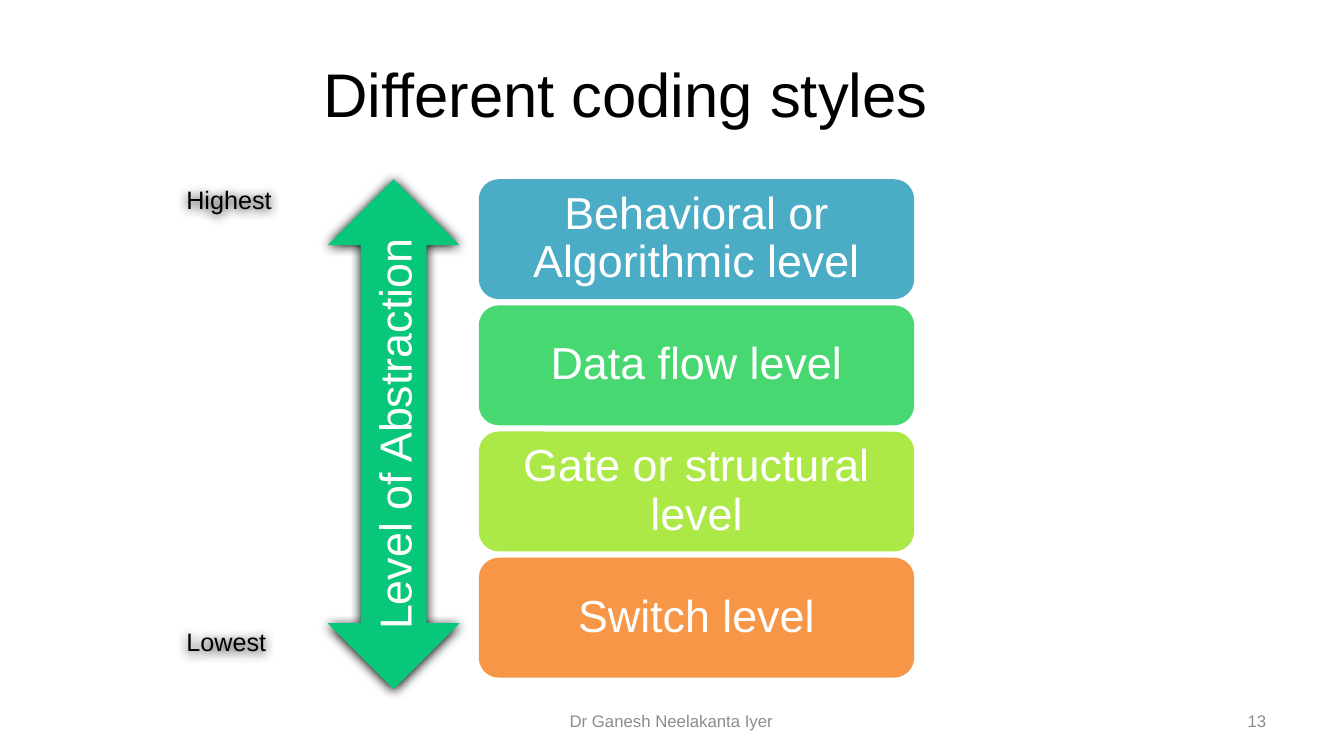
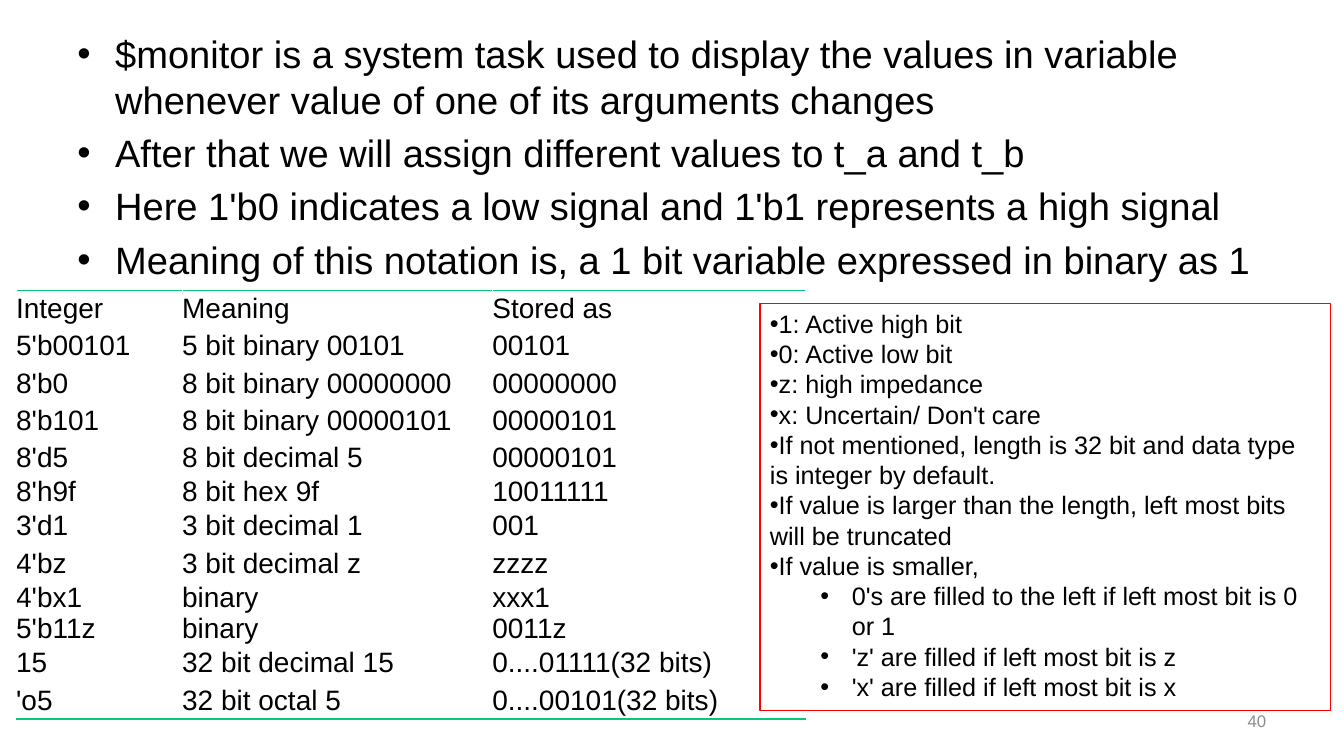
from lxml.etree import SubElement
from pptx import Presentation
from pptx.dml.color import RGBColor
from pptx.enum.shapes import MSO_SHAPE
from pptx.enum.text import MSO_ANCHOR, MSO_AUTO_SIZE, PP_ALIGN
from pptx.oxml import parse_xml
from pptx.oxml.ns import nsdecls, qn
from pptx.util import Pt

COLORS = {
    "text": "000000",
    "inverse": "FFFFFF",
    "footer": "8C8C8C",
    "accent": "09C77A",
    "behavioral": "4BACC6",
    "data_flow": "47D872",
    "gate": "ACE946",
    "switch": "F79646",
    "note_line": "FF0000",
}
FONT = "Arial"
SLIDE_SIZE = (960, 540)
TITLE_BOX = (48, 21.6, 798, 90)
FOOTER_BOX = (327.6, 500.4, 304, 28.8)
NUMBER_BOX = (687.6, 500.4, 224, 28.8)

LEVELS = [
    ("Behavioral or Algorithmic level", "behavioral"),
    ("Data flow level", "data_flow"),
    ("Gate or structural level", "gate"),
    ("Switch level", "switch"),
]
STATEMENTS = [
    "$monitor is a system task used to display the values in variable "
    "whenever value of one of its arguments changes",
    "After that we will assign different values to t_a and t_b",
    "Here 1'b0 indicates a low signal and 1'b1 represents a high signal",
    "Meaning of this notation is, a 1 bit variable expressed in binary as 1",
]
INTEGER_ROWS = [
    ("Integer", "Meaning", "Stored as"),
    ("5'b00101", "5 bit binary 00101", "00101"),
    ("8'b0", "8 bit binary 00000000", "00000000"),
    ("8'b101", "8 bit binary 00000101", "00000101"),
    ("8'd5", "8 bit decimal 5", "00000101"),
    ("8'h9f", "8 bit hex 9f", "10011111"),
    ("3'd1", "3 bit decimal 1", "001"),
    ("4'bz", "3 bit decimal z", "zzzz"),
    ("4'bx1", "binary", "xxx1"),
    ("5'b11z", "binary", "0011z"),
    ("15", "32 bit decimal 15", "0....01111(32 bits)"),
    ("'o5", "32 bit octal 5", "0....00101(32 bits)"),
]
COMPACT_ROWS = {5, 8, 9}
NOTES = [
    ("1: Active high bit", 0),
    ("0: Active low bit", 0),
    ("z: high impedance", 0),
    ("x: Uncertain/ Don't care", 0),
    ("If not mentioned, length is 32 bit and data type is integer by default.", 0),
    ("If value is larger than the length, left most bits will be truncated", 0),
    ("If value is smaller,", 0),
    ("0's are filled to the left if left most bit is 0 or 1", 1),
    ("'z' are filled if left most bit is z", 1),
    ("'x' are filled if left most bit is x", 1),
]
NOTE_INDENTS = [(0, 0), (58.5, -22.5)]


def rgb(name):
    return RGBColor.from_string(COLORS[name])


def points(box):
    return [Pt(value) for value in box]


def place(shape, box):
    shape.left, shape.top, shape.width, shape.height = points(box)


def format_paragraph(paragraph, size, color="text", align=PP_ALIGN.LEFT):
    paragraph.alignment = align
    for run in paragraph.runs:
        run.font.name = FONT
        run.font.size = Pt(size)
        run.font.color.rgb = rgb(color)


def write(shape, text, size, color="text", align=PP_ALIGN.LEFT, anchor=MSO_ANCHOR.MIDDLE):
    frame = shape.text_frame
    frame.word_wrap = True
    frame.auto_size = MSO_AUTO_SIZE.NONE
    frame.vertical_anchor = anchor
    frame.text = text
    for paragraph in frame.paragraphs:
        format_paragraph(paragraph, size, color, align)
    return frame


def add_label(slide, box, *style):
    label = slide.shapes.add_textbox(*points(box))
    write(label, *style)
    return label


def add_filled(slide, kind, box, color):
    shape = slide.shapes.add_shape(kind, *points(box))
    shape.shadow.inherit = False
    shape.fill.solid()
    shape.fill.fore_color.rgb = rgb(color)
    shape.line.fill.background()
    return shape


def add_bullet(paragraph, left, indent):
    properties = paragraph._p.get_or_add_pPr()
    properties.set("marL", str(Pt(left)))
    properties.set("indent", str(Pt(indent)))
    SubElement(properties, qn("a:buFont")).set("typeface", FONT)
    SubElement(properties, qn("a:buChar")).set("char", "•")


def add_glow_shadow(shape):
    shape.shadow.inherit = False
    effects = shape._element.spPr.find(qn("a:effectLst"))
    shadow = SubElement(effects, qn("a:outerShdw"), blurRad=str(Pt(8.5)),
                        dist=str(Pt(1)), dir="5400000", algn="tl", rotWithShape="0")
    SubElement(shadow, qn("a:srgbClr"), val=COLORS["text"])


def add_footer(slide, number, author=None):
    if author:
        add_label(slide, FOOTER_BOX, author, 12, "footer", PP_ALIGN.CENTER)
    add_label(slide, NUMBER_BOX, number, 12, "footer", PP_ALIGN.RIGHT)


def add_level_stack(slide, box):
    left, top, width, height = box
    gap = 4.5
    level_height = (height - gap * (len(LEVELS) - 1)) / len(LEVELS)
    for index, (text, color) in enumerate(LEVELS):
        level_box = (left, top + index * (level_height + gap), width, level_height)
        level = add_filled(slide, MSO_SHAPE.ROUNDED_RECTANGLE, level_box, color)
        frame = write(level, text, 32, "inverse", PP_ALIGN.CENTER)
        frame.margin_left = frame.margin_right = Pt(13.5)
        frame.margin_top = frame.margin_bottom = Pt(9)
        frame.paragraphs[0].line_spacing = 0.9


def add_abstraction_scale(slide, box):
    left, top, width, height = box
    arrow_width, label_width, label_height = 94.3, 96, 28.8
    arrow_box = (left + width - arrow_width, top, arrow_width, height)
    arrow = add_filled(slide, MSO_SHAPE.UP_DOWN_ARROW, arrow_box, "accent")
    frame = write(arrow, "Level of Abstraction", 32, "inverse", PP_ALIGN.CENTER)
    frame._txBody.bodyPr.set("vert", "vert270")
    add_glow_shadow(arrow)
    for text, offset in (("Highest", 0), ("Lowest", 316)):
        label_box = (left, top + offset, label_width, label_height)
        label = add_label(slide, label_box, text, 18, "text", PP_ALIGN.LEFT, MSO_ANCHOR.TOP)
        add_glow_shadow(label)


def add_statements(slide, box):
    body = slide.placeholders[1]
    place(body, box)
    frame = write(body, "\n".join(STATEMENTS), 27.2, anchor=MSO_ANCHOR.TOP)
    for index, paragraph in enumerate(frame.paragraphs):
        paragraph.space_before = Pt(5.5 if index else 0)
        add_bullet(paragraph, 27, -27)


def add_cell_border(cell, side):
    border = parse_xml(
        f'<a:{side} {nsdecls("a")} w="{Pt(1)}"><a:solidFill>'
        f'<a:srgbClr val="{COLORS["accent"]}"/></a:solidFill></a:{side}>')
    cell._tc.get_or_add_tcPr().insert(0, border)


def add_integer_table(slide, box):
    heights = [13 if index in COMPACT_ROWS else 26.6 for index in range(len(INTEGER_ROWS))]
    frame = slide.shapes.add_table(len(INTEGER_ROWS), 3, *points(box))
    table = frame.table
    table.first_row = table.horz_banding = False
    for column, width in zip(table.columns, (118.6, 221.6, 223.6)):
        column.width = Pt(width)
    for row, height, texts in zip(table.rows, heights, INTEGER_ROWS):
        row.height = Pt(height)
        for cell, text in zip(row.cells, texts):
            cell.fill.background()
            cell.vertical_anchor = MSO_ANCHOR.MIDDLE
            cell.margin_left = cell.margin_right = cell.margin_top = cell.margin_bottom = 0
            cell.text_frame.text = text
            format_paragraph(cell.text_frame.paragraphs[0], 20)
    for cell in table.rows[0].cells:
        add_cell_border(cell, "lnT")
    for cell in table.rows[len(INTEGER_ROWS) - 1].cells:
        add_cell_border(cell, "lnB")


def add_notes_panel(slide, box):
    panel = slide.shapes.add_shape(MSO_SHAPE.RECTANGLE, *points(box))
    panel.shadow.inherit = False
    panel.fill.background()
    panel.line.color.rgb = rgb("note_line")
    panel.line.width = Pt(0.75)
    frame = write(panel, "\n".join(text for text, level in NOTES), 18, anchor=MSO_ANCHOR.TOP)
    for paragraph, (text, level) in zip(frame.paragraphs, NOTES):
        paragraph.level = level
        add_bullet(paragraph, *NOTE_INDENTS[level])


def build_styles_slide(presentation):
    slide = presentation.slides.add_slide(presentation.slide_layouts[5])
    place(slide.shapes.title, TITLE_BOX)
    write(slide.shapes.title, "Different coding styles", 44, "text", PP_ALIGN.CENTER)
    add_level_stack(slide, (342, 128, 311, 356))
    add_footer(slide, "13", "Dr Ganesh Neelakanta Iyer")
    add_abstraction_scale(slide, (126, 128, 202.3, 364.3))


def build_monitor_slide(presentation):
    slide = presentation.slides.add_slide(presentation.slide_layouts[1])
    title = slide.shapes.title._element
    title.getparent().remove(title)
    add_statements(slide, (48, 18, 900, 210))
    add_footer(slide, "40")
    add_integer_table(slide, (11.5, 207.3, 563.8, 310))
    add_notes_panel(slide, (542.9, 216.7, 407.5, 290.9))


def main():
    presentation = Presentation()
    presentation.slide_width, presentation.slide_height = points(SLIDE_SIZE)
    build_styles_slide(presentation)
    build_monitor_slide(presentation)
    presentation.save("out.pptx")


if __name__ == "__main__":
    main()
